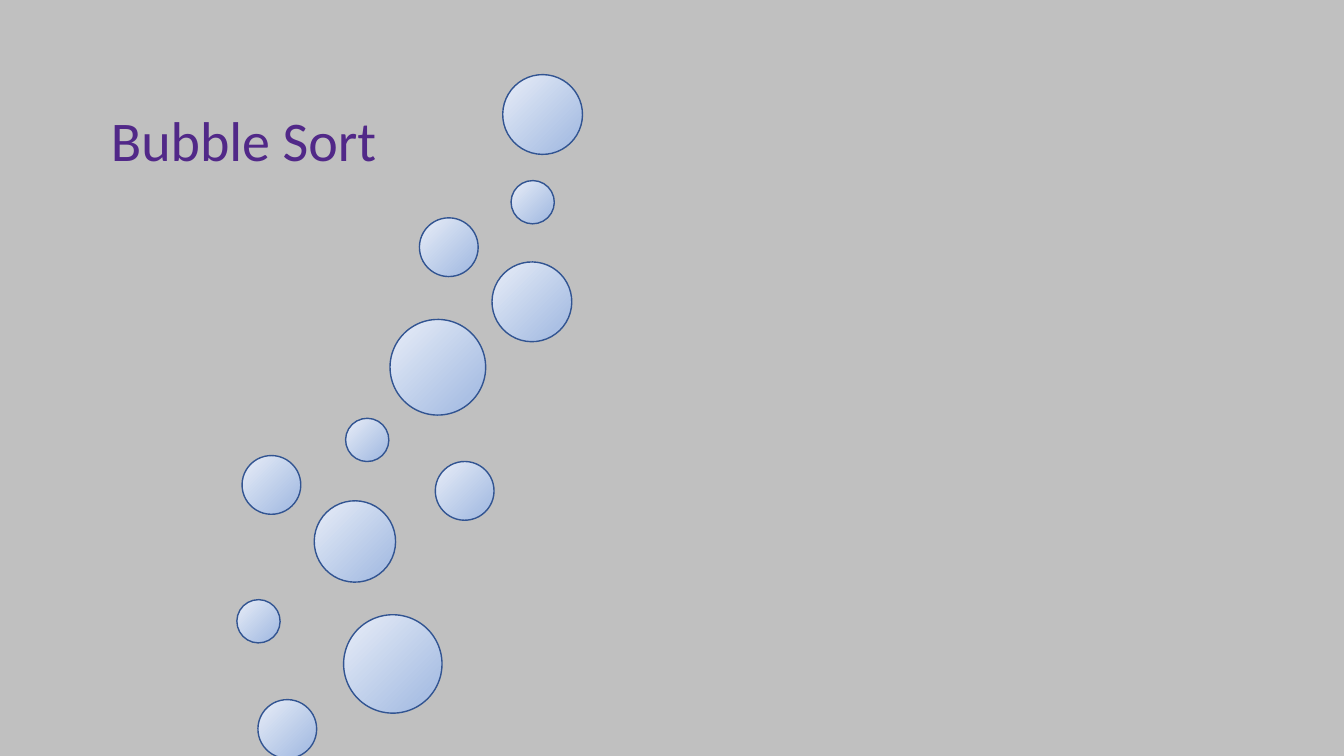
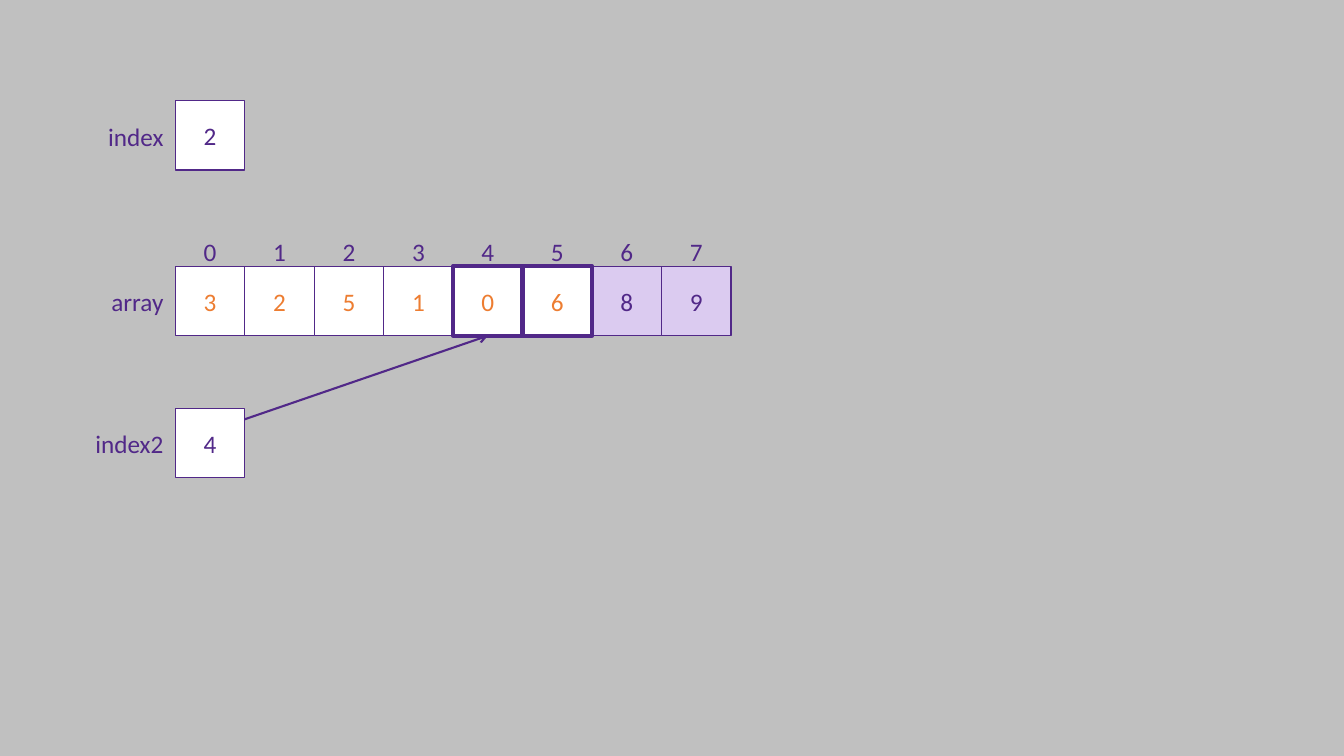
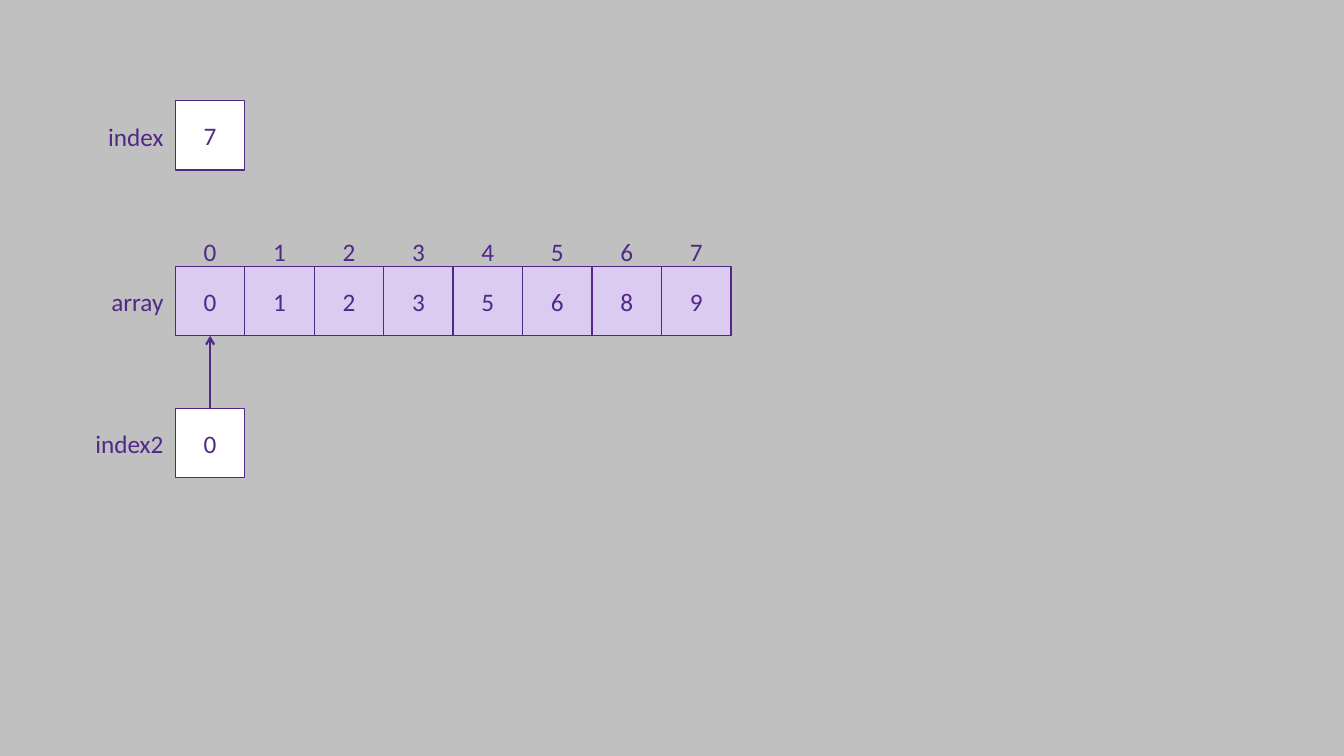
from pptx import Presentation
from pptx.dml.color import RGBColor
from pptx.enum.shapes import MSO_CONNECTOR, MSO_SHAPE
from pptx.enum.text import MSO_ANCHOR, PP_ALIGN
from pptx.oxml import parse_xml
from pptx.oxml.ns import nsdecls, qn
from pptx.util import Cm, Pt

GREY = RGBColor(0xC0, 0xC0, 0xC0)
WHITE = RGBColor(0xFF, 0xFF, 0xFF)
PURPLE = RGBColor(0x51, 0x28, 0x88)
LILAC = RGBColor(0xDB, 0xCB, 0xF0)
ORANGE = RGBColor(0xED, 0x7D, 0x31)
NAVY = RGBColor(0x32, 0x54, 0x91)
BUBBLE_STOPS = [
    (0, RGBColor(0xF6, 0xF8, 0xFC)),
    (74, RGBColor(0xAB, 0xC0, 0xE4)),
    (83, RGBColor(0xAB, 0xC0, 0xE4)),
    (100, RGBColor(0xC7, 0xD5, 0xED)),
]

FONT = "Calibri"
TITLE_ONLY, BLANK = 5, 6

CELL = Cm(1.75)
LABEL_W, LABEL_H = Cm(2.8), Cm(1.02)
LABEL_GAP, LABEL_DROP = Cm(0.05), Cm(0.38)
ARRAY_DROP, INDEX2_DROP = Cm(4.17), Cm(7.75)  # below the index cell
NUMBER_RISE = Cm(0.87)

# left and top within the bubble column, diameter, all in cm
BUBBLES = [
    (4.6, 3.61, 1.48), (6.7, 0, 2.01), (6.91, 2.67, 1.09),
    (2.74, 8.66, 1.09), (3.86, 6.17, 2.41), (6.43, 4.72, 2.01),
    (5, 9.75, 1.48), (0.13, 9.6, 1.48), (0, 13.23, 1.09),
    (2.69, 13.61, 2.48), (1.95, 10.74, 2.05), (0.53, 15.75, 1.48),
]


def write(tf, text, align, color=PURPLE, size=18):
    tf.text = text
    p = tf.paragraphs[0]
    p.alignment = align
    p.font.name = FONT
    p.font.size = Pt(size)
    p.font.color.rgb = color


def add_label(slide, left, top, width, text, align):
    tf = slide.shapes.add_textbox(left, top, width, LABEL_H).text_frame
    tf.word_wrap = True
    write(tf, text, align)


def add_cell(slide, left, top, value, fill=WHITE, color=PURPLE, weight=1):
    sp = slide.shapes.add_shape(MSO_SHAPE.RECTANGLE, left, top, CELL, CELL)
    sp.shadow.inherit = False
    sp.fill.solid()
    sp.fill.fore_color.rgb = fill
    sp.line.color.rgb = PURPLE
    sp.line.width = Pt(weight)
    sp.text_frame.vertical_anchor = MSO_ANCHOR.MIDDLE
    write(sp.text_frame, str(value), PP_ALIGN.CENTER, color)


def add_row_label(slide, left, top, text):
    """Label the row whose first cell is at left, top."""
    add_label(slide, left - LABEL_GAP - LABEL_W, top + LABEL_DROP, LABEL_W,
              text, PP_ALIGN.RIGHT)


def add_variable(slide, left, top, name, value):
    add_row_label(slide, left, top, name)
    add_cell(slide, left, top, value)


def add_arrow(slide, x1, y1, x2, y2):
    line = slide.shapes.add_connector(MSO_CONNECTOR.STRAIGHT, x1, y1, x2, y2)
    line.line.color.rgb = PURPLE
    line.line.width = Pt(1.5)
    line.line._get_or_add_ln().append(
        parse_xml(f'<a:tailEnd {nsdecls("a")} type="arrow"/>'))
    line._element.spPr.append(parse_xml(f'<a:effectLst {nsdecls("a")}/>'))


def add_array(slide, left, top, values, sorted_from, compared):
    """Cells from sorted_from on are tinted; compared ones have heavy borders."""
    add_row_label(slide, left, top, "array")
    for i in range(len(values)):
        add_label(slide, left + i * CELL, top - NUMBER_RISE, CELL, str(i),
                  PP_ALIGN.CENTER)
    # Heavy borders go in front of their neighbours.
    for i in sorted(range(len(values)), key=lambda i: i in compared):
        fill, color = (LILAC, PURPLE) if i >= sorted_from else (WHITE, ORANGE)
        add_cell(slide, left + i * CELL, top, values[i], fill, color,
                 3 if i in compared else 1)


def add_bubble(slide, left, top, size):
    sp = slide.shapes.add_shape(MSO_SHAPE.OVAL, left, top, size, size)
    sp.shadow.inherit = False
    sp.rotation = 330.9
    sp.line.color.rgb = NAVY
    sp.line.width = Pt(1)
    sp.fill.gradient()
    stops = "".join(
        f'<a:gs pos="{pos * 1000}"><a:srgbClr val="{color}"/></a:gs>'
        for pos, color in BUBBLE_STOPS)
    spPr = sp._element.spPr
    spPr.replace(spPr.find(qn("a:gradFill")), parse_xml(
        f'<a:gradFill {nsdecls("a")} rotWithShape="1"><a:gsLst>{stops}</a:gsLst>'
        '<a:path path="circle"><a:fillToRect r="100000" b="100000"/></a:path>'
        '</a:gradFill>'))


def add_bubbles(slide, left, top):
    for x, y, size in BUBBLES:
        add_bubble(slide, left + Cm(x), top + Cm(y), Cm(size))


def add_title_slide(prs, text):
    slide = prs.slides.add_slide(prs.slide_layouts[TITLE_ONLY])
    title = slide.shapes.title
    title.left, title.top = Cm(2.54), Cm(2.54)
    title.width, title.height = Cm(7.26), Cm(1.96)
    tf = title.text_frame
    tf.word_wrap = False
    tf.vertical_anchor = MSO_ANCHOR.TOP
    write(tf, text, PP_ALIGN.LEFT, size=40)
    add_bubbles(slide, Cm(5.97), Cm(1.88))


def add_sort_slide(prs, index, index2, values, sorted_from, compared, arrow_from,
                   left=Cm(4.42), top=Cm(2.54)):
    """One state of the sort; arrow_from is a point of the index2 cell, 0 to 1."""
    slide = prs.slides.add_slide(prs.slide_layouts[BLANK])
    array_top, index2_top = top + ARRAY_DROP, top + INDEX2_DROP
    dx, dy = arrow_from
    add_arrow(slide, left + int(dx * CELL), index2_top + int(dy * CELL),
              left + int((index2 + 0.5) * CELL), array_top + CELL)
    add_array(slide, left, array_top, values, sorted_from, compared)
    add_variable(slide, left, index2_top, "index2", index2)
    add_variable(slide, left, top, "index", index)


def main():
    prs = Presentation()
    prs.slide_width, prs.slide_height = Cm(33.87), Cm(19.05)
    background = prs.slide_master.background.fill
    background.solid()
    background.fore_color.rgb = GREY

    add_title_slide(prs, "Bubble Sort")
    add_sort_slide(prs, 2, 4, [3, 2, 5, 1, 0, 6, 8, 9], sorted_from=6,
                   compared=(4, 5), arrow_from=(0, 0.5))
    add_sort_slide(prs, 7, 0, [0, 1, 2, 3, 5, 6, 8, 9], sorted_from=0,
                   compared=(), arrow_from=(0.5, 0))
    prs.save("out.pptx")


if __name__ == "__main__":
    main()
